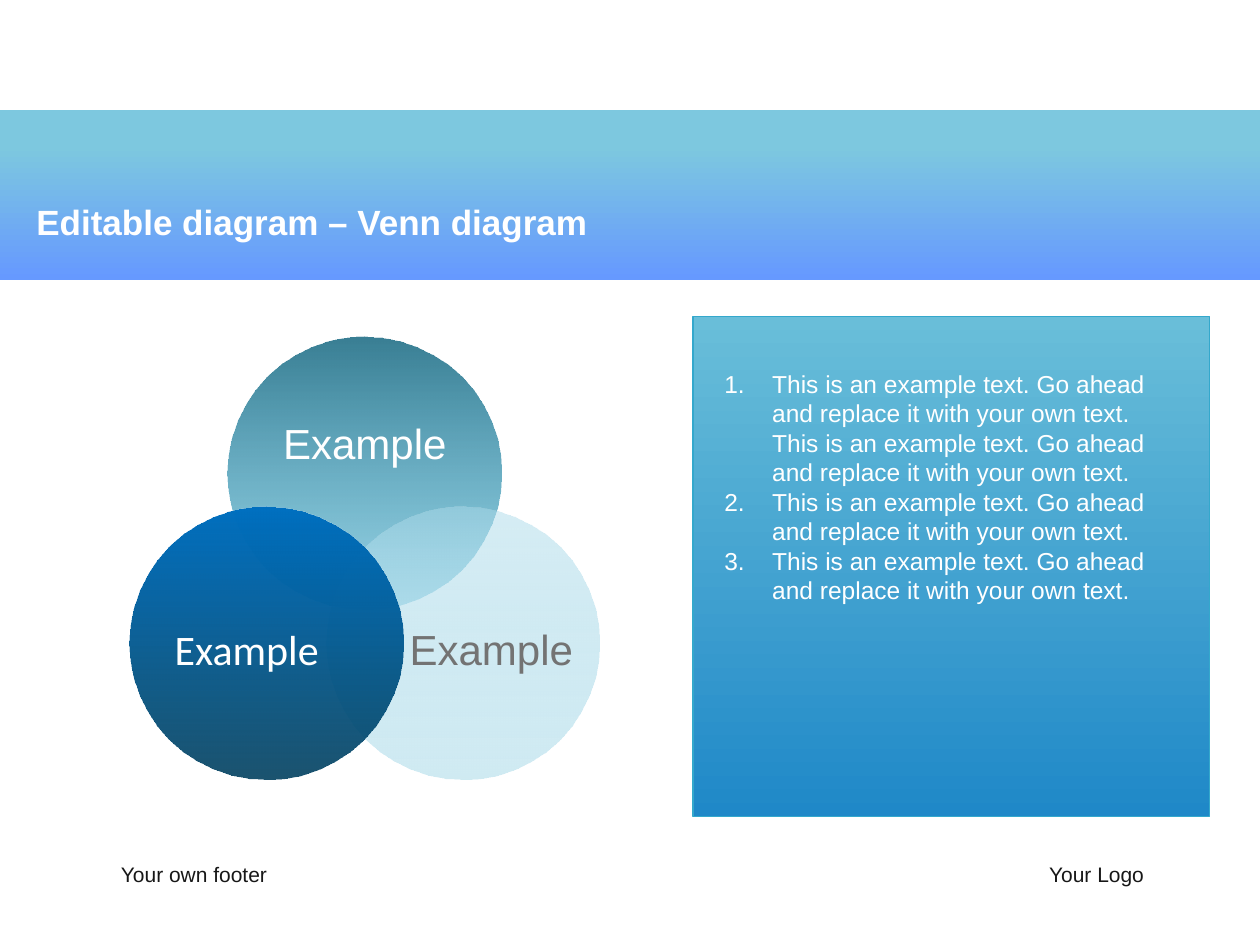
"""Build a Venn diagram slide with a numbered text panel."""
import pptx
import pptx.dml.color
import pptx.enum.shapes
import pptx.enum.text
import pptx.oxml
import pptx.oxml.ns
import pptx.util

Inches = pptx.util.Inches
SHAPES = pptx.enum.shapes.MSO_SHAPE
ALIGN = pptx.enum.text.PP_ALIGN
ANCHOR = pptx.enum.text.MSO_ANCHOR


def set_color(color_format, color):
    color_format.rgb = pptx.dml.color.RGBColor.from_string(color)


def write_text(paragraph, text, size=12, color="171717", font="Arial", bold=False,
               align=ALIGN.LEFT, spacing=None):
    paragraph.text = text
    paragraph.alignment = align
    paragraph.line_spacing = spacing
    paragraph.font.name = font
    paragraph.font.size = pptx.util.Pt(size)
    paragraph.font.bold = bold
    set_color(paragraph.font.color, color)


class SlideBuilder:
    def __init__(self, slide, margin=0.1):
        self.slide = slide
        self.margin = margin

    def gradient_shape(self, kind, box, stops, angle=270, line=None):
        shape = self.slide.shapes.add_shape(kind, *map(Inches, box))
        shape.shadow.inherit = False
        shape.fill.gradient()
        shape.fill.gradient_angle = angle
        for stop, (position, color, opacity) in zip(shape.fill.gradient_stops, stops):
            stop.position = position
            set_color(stop.color, color)
            if opacity < 1:
                for element in shape.fill._xPr.iter(pptx.oxml.ns.qn("a:srgbClr")):
                    if element.get("val") == color:
                        alpha = pptx.oxml.parse_xml(
                            f'<a:alpha {pptx.oxml.ns.nsdecls("a")} val="{round(opacity * 100000)}"/>')
                        element.append(alpha)
        if line:
            set_color(shape.line.color, line)
            shape.line.width = pptx.util.Pt(0.75)
        else:
            shape.line.fill.background()

    def text_frame(self, box, anchor=ANCHOR.MIDDLE, inset=False):
        frame = self.slide.shapes.add_textbox(*map(Inches, box)).text_frame
        frame.word_wrap = True
        frame.vertical_anchor = anchor
        frame.margin_left = frame.margin_right = Inches(self.margin if inset else 0)
        frame.margin_top = frame.margin_bottom = Inches(self.margin / 2 if inset else 0)
        return frame

    def label(self, box, text, anchor=ANCHOR.MIDDLE, inset=False, **style):
        frame = self.text_frame(box, anchor, inset)
        write_text(frame.paragraphs[0], text, **style)

    def numbered_list(self, box, items, **style):
        frame = self.text_frame(box, ANCHOR.TOP, inset=True)
        for index, item in enumerate(items):
            paragraph = frame.add_paragraph() if index else frame.paragraphs[0]
            properties = paragraph._p.get_or_add_pPr()
            properties.set("marL", str(Inches(0.38)))
            properties.set("indent", str(-Inches(0.38)))
            properties.append(pptx.oxml.parse_xml(
                f'<a:buAutoNum {pptx.oxml.ns.nsdecls("a")} type="arabicPeriod"/>'))
            write_text(paragraph, item, **style)


def main():
    presentation = pptx.Presentation()
    presentation.slide_width, presentation.slide_height = Inches(10), Inches(7.5)
    builder = SlideBuilder(presentation.slides.add_slide(presentation.slide_layouts[6]))

    builder.gradient_shape(SHAPES.RECTANGLE, (0, 0.87, 10, 1.35),
                           [(0.21, "7DC8DF", 1), (1, "6699FF", 1)])
    builder.gradient_shape(SHAPES.RECTANGLE, (5.5, 2.51, 4.1, 3.97),
                           [(0, "69BED9", 1), (1, "1F88C8", 1)], line="34A8CC")
    sentence = "This is an example text. Go ahead and replace it with your own text."
    builder.numbered_list((5.65, 2.88, 3.65, 2.46),
                          [f"{sentence} {sentence}", sentence, sentence],
                          size=14, color="FFFFFF")
    builder.label((0.96, 6.74, 1.68, 0.39), "Your own footer")
    builder.label((7.4, 6.74, 1.68, 0.39), "Your Logo", align=ALIGN.RIGHT)
    builder.label((0.19, 1.58, 7.1, 0.39), "Editable diagram – Venn diagram",
                  anchor=ANCHOR.BOTTOM, inset=True, size=20, color="FFFFFF", bold=True)

    diameter = 2.17
    circles = [
        (1.81, 2.67, [(0, "34A8CC", 0.5), (1, "227088", 0.9)],
         (2.1, 3.05, 1.59, 0.97), {"color": "FFFFFF", "align": ALIGN.CENTER}),
        (2.59, 4.02, [(0, "C9E8F1", 0.88), (1, "AEDCEB", 0.5)],
         (3.25, 4.58, 1.3, 1.19), {"color": "737373", "align": ALIGN.CENTER}),
        (1.03, 4.02, [(0, "00405F", 0.9), (1, "0070C0", 1)],
         (1.23, 4.58, 1.3, 1.19),
         {"color": "FFFFFF", "align": ALIGN.RIGHT, "font": "Calibri"}),
    ]
    for left, top, stops, label_box, style in circles:
        builder.gradient_shape(SHAPES.OVAL, (left, top, diameter, diameter), stops, angle=90)
        builder.label(label_box, "Example", size=24, spacing=0.9, **style)

    presentation.save("out.pptx")


if __name__ == "__main__":
    main()
